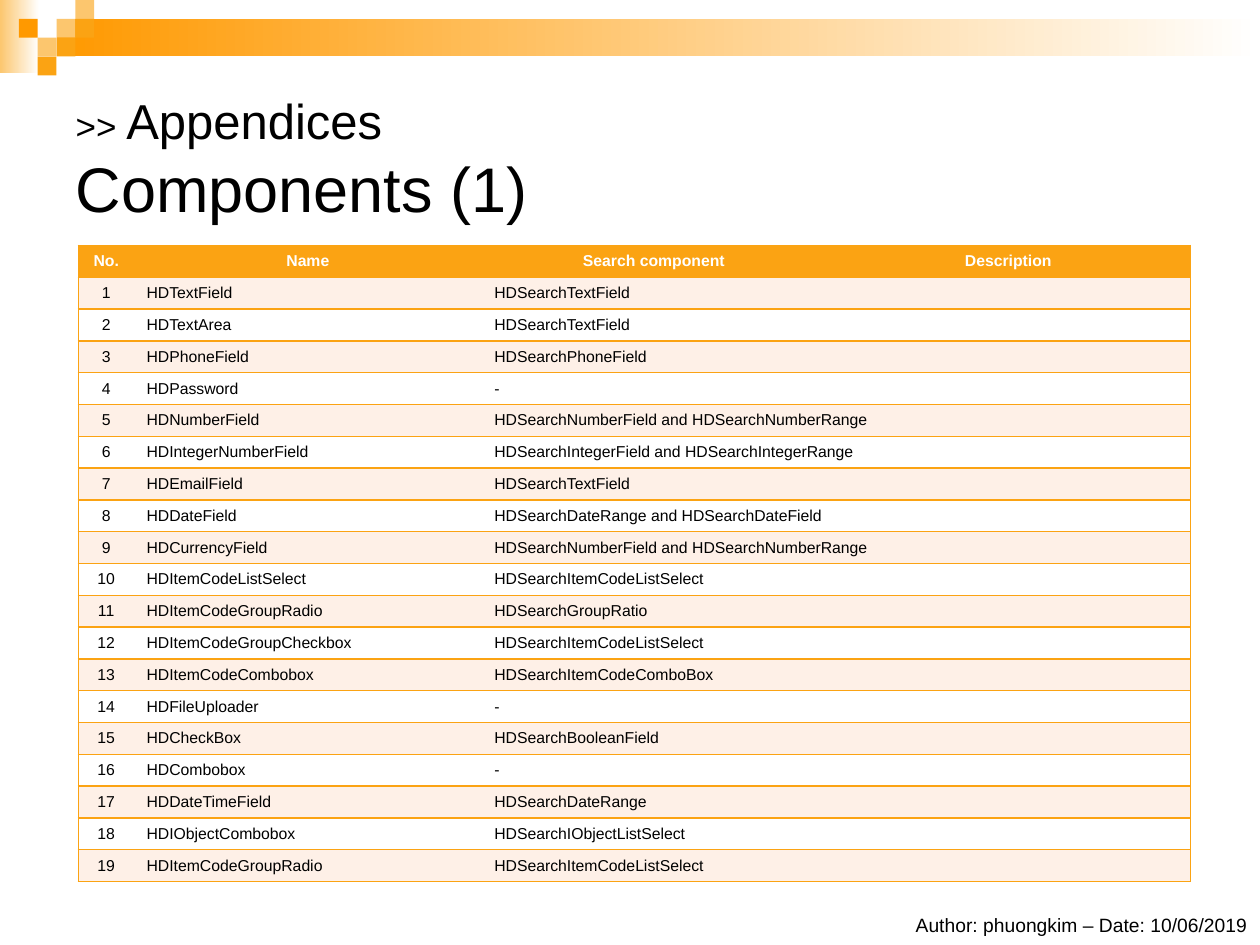
from typing import Any, NamedTuple

from lxml.etree import SubElement
from pptx import Presentation
from pptx.dml.color import RGBColor
from pptx.enum.shapes import MSO_SHAPE as Preset
from pptx.enum.text import MSO_ANCHOR as Anchor
from pptx.enum.text import MSO_AUTO_SIZE as AutoSize
from pptx.enum.text import PP_ALIGN as Align
from pptx.oxml.ns import qn
from pptx.util import Cm, Pt

COLORS = {
    "black": "000000",
    "white": "FFFFFF",
    "orange": "FF9900",
    "amber": "FBA313",
    "sand": "FCC66E",
    "cream": "FEF0E7",
}
FONT = "Arial"
TILE = 0.38  # side of one tile of the corner pattern, in cm
CELL_SIZE = 9


class Tile(NamedTuple):
    column: int
    row: int
    color: str


class Band(NamedTuple):
    left: float
    top: float
    width: float
    height: float
    color: str


class TableColumn(NamedTuple):
    heading: str
    width: float
    align: Any


class Component(NamedTuple):
    name: str
    search: str
    wide: bool = False  # search text runs on into the description column


BANDS = [
    Band(0, 0, 0.79, 1.47, "sand"),
    Band(3 * TILE, TILE, 24.26, 2 * TILE, "orange"),
]
TILES = [
    Tile(3, 1, "sand"),
    Tile(4, 0, "sand"),
    Tile(4, 1, "amber"),
    Tile(2, 2, "sand"),
    Tile(1, 1, "orange"),
    Tile(3, 2, "amber"),
    Tile(2, 3, "amber"),
]
TITLE_LINES = [[(">> ", 20), ("Appendices ", 28)], [("Components (1)", 36)]]
COLUMNS = [
    TableColumn("No.", 1.12, Align.CENTER),
    TableColumn("Name", 7.01, Align.LEFT),
    TableColumn("Search component", 6.94, Align.LEFT),
    TableColumn("Description", 7.35, Align.LEFT),
]
COMPONENTS = [
    Component("HDTextField", "HDSearchTextField"),
    Component("HDTextArea", "HDSearchTextField"),
    Component("HDPhoneField", "HDSearchPhoneField"),
    Component("HDPassword", "-"),
    Component("HDNumberField", "HDSearchNumberField and HDSearchNumberRange", True),
    Component("HDIntegerNumberField", "HDSearchIntegerField and HDSearchIntegerRange", True),
    Component("HDEmailField", "HDSearchTextField"),
    Component("HDDateField", "HDSearchDateRange and HDSearchDateField", True),
    Component("HDCurrencyField", "HDSearchNumberField and HDSearchNumberRange", True),
    Component("HDItemCodeListSelect", "HDSearchItemCodeListSelect"),
    Component("HDItemCodeGroupRadio", "HDSearchGroupRatio"),
    Component("HDItemCodeGroupCheckbox", "HDSearchItemCodeListSelect"),
    Component("HDItemCodeCombobox", "HDSearchItemCodeComboBox"),
    Component("HDFileUploader", "-"),
    Component("HDCheckBox", "HDSearchBooleanField"),
    Component("HDCombobox", "-"),
    Component("HDDateTimeField", "HDSearchDateRange"),
    Component("HDIObjectCombobox", "HDSearchIObjectListSelect"),
    Component("HDItemCodeGroupRadio", "HDSearchItemCodeListSelect"),
]


def rgb(name: str) -> RGBColor:
    return RGBColor.from_string(COLORS[name])


def apply(target: Any, values: dict[str, Any]) -> None:
    for name, value in values.items():
        setattr(target, name, value)


def add_run(paragraph: Any, text: str, size: float, color: str = "black", bold: bool = False) -> None:
    run = paragraph.add_run()
    run.text = text
    apply(run.font, {"name": FONT, "size": Pt(size), "bold": bold})
    run.font.color.rgb = rgb(color)


def add_rectangle(slide: Any, left: float, top: float, width: float, height: float) -> Any:
    """Add a rectangle without line or shadow; lengths in cm."""
    shape = slide.shapes.add_shape(Preset.RECTANGLE, Cm(left), Cm(top), Cm(width), Cm(height))
    shape.shadow.inherit = False
    shape.line.fill.background()
    return shape


def draw_band(slide: Any, band: Band) -> None:
    """Draw a rectangle that fades to white towards the right."""
    fill = add_rectangle(slide, *band[:4]).fill
    fill.gradient()
    fill.gradient_angle = 0
    for stop, color in zip(fill.gradient_stops, (band.color, "white")):
        stop.color.rgb = rgb(color)


def draw_tile(slide: Any, tile: Tile) -> None:
    shape = add_rectangle(slide, tile.column * TILE, tile.row * TILE, TILE, TILE)
    shape.fill.solid()
    shape.fill.fore_color.rgb = rgb(tile.color)


def write_title(title: Any) -> None:
    apply(title, {"left": Cm(1.27), "top": Cm(1.27), "width": Cm(22.86), "height": Cm(3.81)})
    apply(title.text_frame, {"vertical_anchor": Anchor.MIDDLE, "auto_size": AutoSize.NONE, "word_wrap": True})
    paragraph = title.text_frame.paragraphs[0]
    paragraph.alignment = Align.LEFT
    for index, line in enumerate(TITLE_LINES):
        if index:
            paragraph.add_line_break()
        for text, size in line:
            add_run(paragraph, text, size)


def set_borders(cell: Any, visible: str) -> None:
    """Draw the sides named in visible (of L, R, T, B) and hide the others."""
    properties = cell._tc.get_or_add_tcPr()
    for index, side in enumerate("LRTB"):
        line = SubElement(properties, qn(f"a:ln{side}"), w=str(Pt(1)))
        properties.insert(index, line)
        if side in visible:
            fill = SubElement(line, qn("a:solidFill"))
            SubElement(fill, qn("a:srgbClr"), val=COLORS["amber"])
        else:
            SubElement(line, qn("a:noFill"))


def fill_cell(cell: Any, text: str, align: Any, fill: str, header: bool) -> None:
    cell.vertical_anchor = Anchor.MIDDLE
    cell.fill.solid()
    cell.fill.fore_color.rgb = rgb(fill)
    paragraph = cell.text_frame.paragraphs[0]
    paragraph.alignment = align
    if text:
        add_run(paragraph, text, CELL_SIZE, "white" if header else "black", header)
    else:
        SubElement(paragraph._p, qn("a:endParaRPr"), sz=str(CELL_SIZE * 100))


def draw_table(slide: Any) -> None:
    rows = [[column.heading for column in COLUMNS]]
    rows += [[str(number), item.name, item.search, ""] for number, item in enumerate(COMPONENTS, 1)]
    width = sum(column.width for column in COLUMNS)
    table = slide.shapes.add_table(
        len(rows), len(COLUMNS), Cm(1.58), Cm(4.95), Cm(width), Cm(12.83)
    ).table
    last = len(COLUMNS) - 1
    for index, column in enumerate(COLUMNS):
        table.columns[index].width = Cm(column.width)
    for row, texts in enumerate(rows):
        header = row == 0
        fill = "amber" if header else ("white", "cream")[row % 2]
        wide = not header and COMPONENTS[row - 1].wide
        for index, column in enumerate(COLUMNS):
            cell = table.cell(row, index)
            fill_cell(cell, texts[index], Align.CENTER if header else column.align, fill, header)
            at_right = index == last or (wide and index == last - 1)
            set_borders(cell, "TB" + "L" * (index == 0) + "R" * at_right)
        apply(table.cell(row, 0), {"margin_left": Cm(0.1), "margin_right": Cm(0.1)})
        if wide:
            table.cell(row, last - 1).merge(table.cell(row, last))


def write_footer(slide: Any) -> None:
    frame = slide.shapes.add_textbox(Cm(12.9), Cm(18.29), Cm(12.5), Cm(0.74)).text_frame
    frame.word_wrap = True
    frame.paragraphs[0].alignment = Align.RIGHT
    add_run(frame.paragraphs[0], "Author: phuongkim – Date: 10/06/2019", 11)


def main() -> None:
    presentation = Presentation()
    apply(presentation, {"slide_width": Cm(25.4), "slide_height": Cm(19.05)})
    slide = presentation.slides.add_slide(presentation.slide_layouts.get_by_name("Title Only"))
    for band in BANDS:
        draw_band(slide, band)
    for tile in TILES:
        draw_tile(slide, tile)
    write_title(slide.shapes.title)
    write_footer(slide)
    draw_table(slide)
    presentation.save("out.pptx")


if __name__ == "__main__":
    main()
